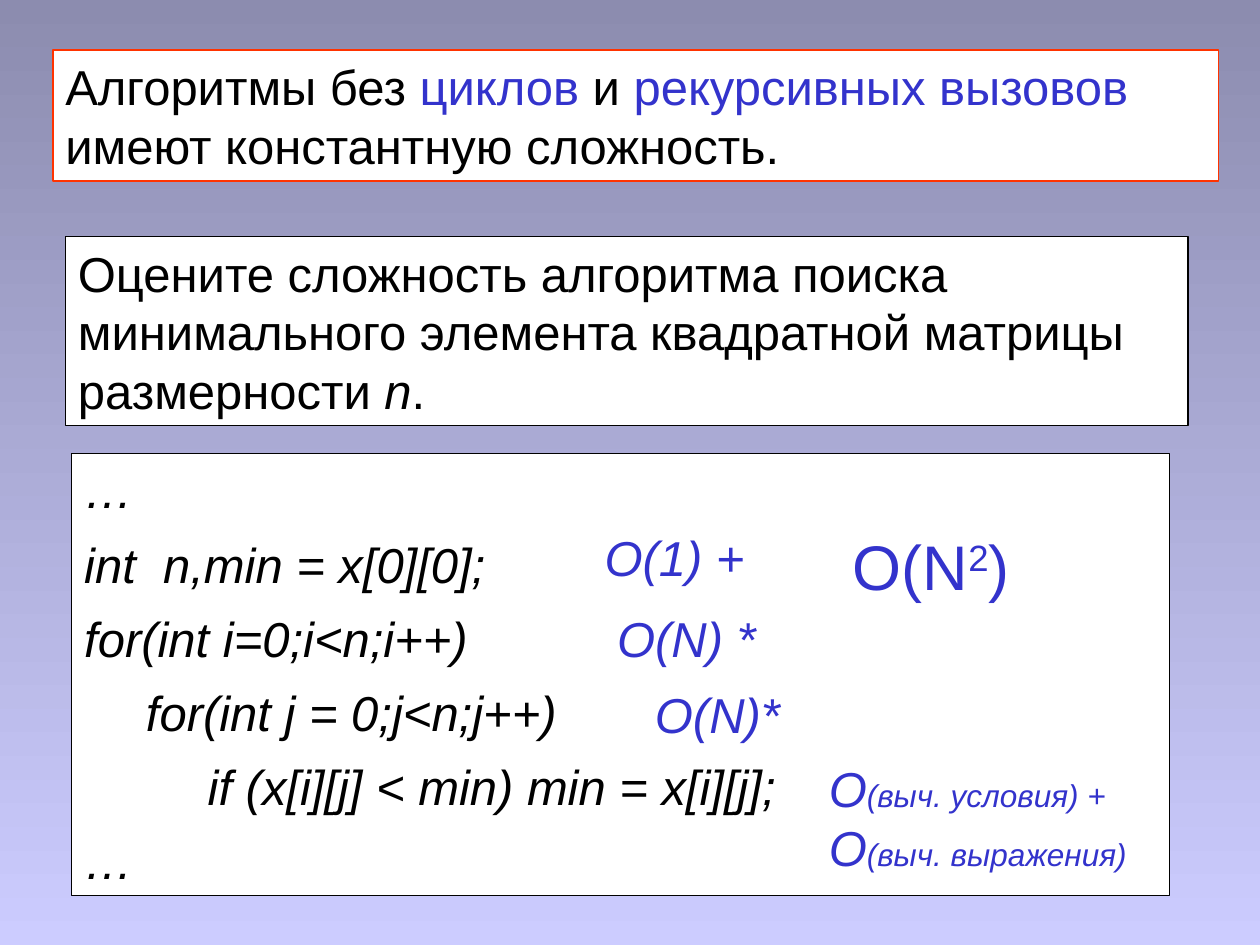
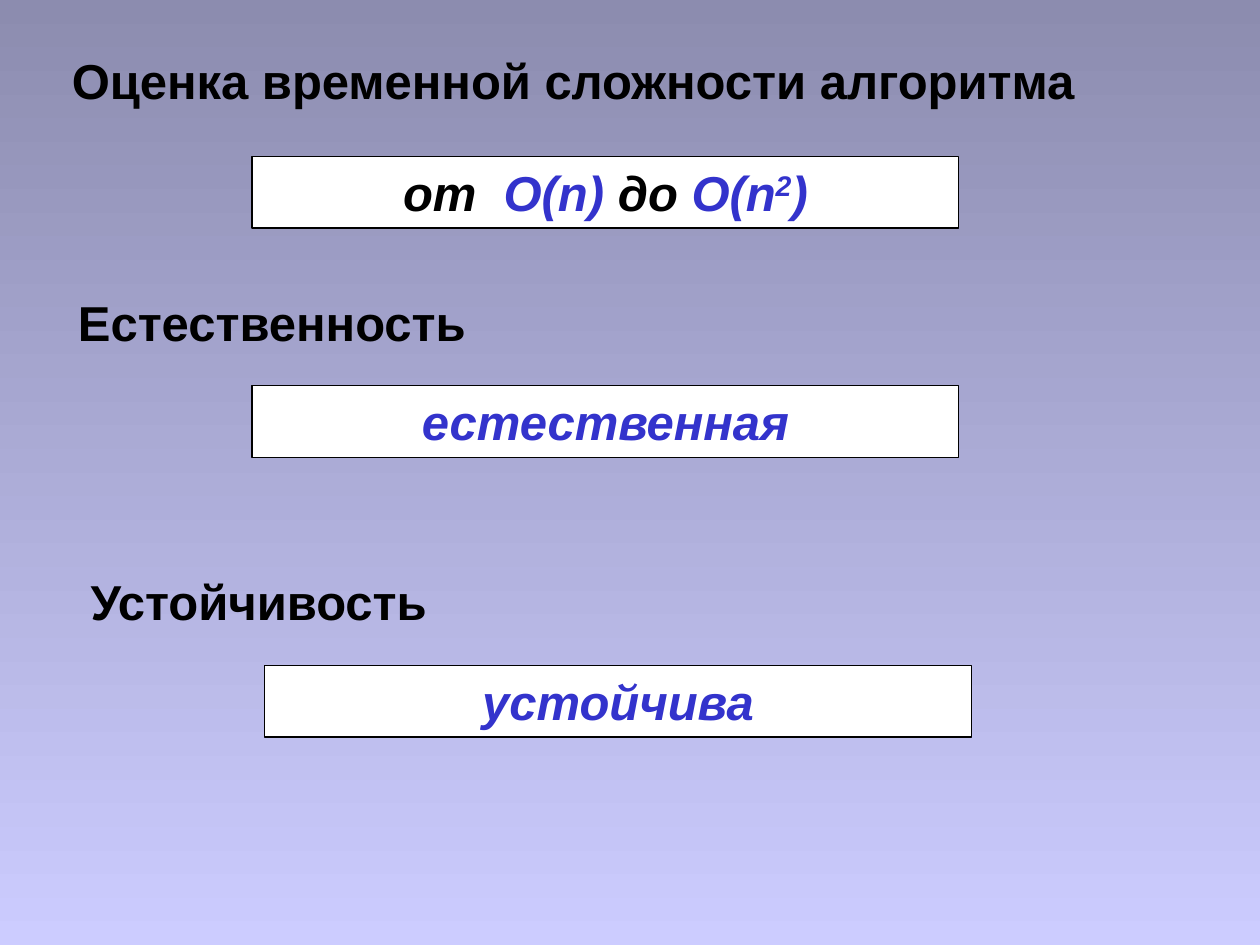
from pptx import Presentation
from pptx.dml.color import RGBColor
from pptx.enum.shapes import MSO_SHAPE
from pptx.enum.text import MSO_ANCHOR, MSO_AUTO_SIZE, PP_ALIGN
from pptx.util import Inches, Pt

COLORS = {
    "sky_top": "8C8CAF",
    "sky_bottom": "CCCCFF",
    "paper": "FFFFFF",
    "ink": "000000",
    "accent": "3333CC",
    "alert": "FF3300",
}
FONT = "Arial"
BODY_SIZE = 28
LINE_HEIGHT = 0.57
TAB_STEP = 0.49
CODE_SPACING = 8.8

ACCENT = {"color": "accent"}
INK = {"color": "ink"}
ITALIC = {"italic": True}
SMALL = {"size": 18}
SUPERSCRIPT = {"baseline": 30000}

CODE_LINES = [
    (0, "…"),
    (0, "int  n,min = x[0][0];"),
    (0, "for(int i=0;i<n;i++)"),
    (1, "for(int j = 0;j<n;j++)"),
    (2, "if (x[i][j] < min) min = x[i][j];"),
    (0, "…"),
]


def rgb(name):
    return RGBColor.from_string(COLORS[name])


def paint_background(master):
    fill = master.background.fill
    fill.gradient()
    fill.gradient_angle = 270
    for stop, name in zip(fill.gradient_stops, ("sky_top", "sky_bottom")):
        stop.color.rgb = rgb(name)


def format_run(run, size=BODY_SIZE, color="ink", bold=False, italic=False, baseline=None):
    run.font.name = FONT
    run.font.size = Pt(size)
    run.font.bold = bold
    run.font.italic = italic
    run.font.color.rgb = rgb(color)
    if baseline:
        run._r.get_or_add_rPr().set("baseline", str(baseline))


def write_paragraphs(shape, paragraphs, align=PP_ALIGN.LEFT, **style):
    frame = shape.text_frame
    frame.word_wrap = True
    frame.auto_size = MSO_AUTO_SIZE.NONE
    frame.vertical_anchor = MSO_ANCHOR.TOP
    for index, pieces in enumerate(paragraphs):
        paragraph = frame.add_paragraph() if index else frame.paragraphs[0]
        paragraph.alignment = align
        paragraph.space_before = Pt(0)
        for text, changes in pieces:
            run = paragraph.add_run()
            run.text = text
            format_run(run, **{**style, **changes})


def add_panel(slide, box, paragraphs, border="ink", border_width=0.75, **style):
    panel = slide.shapes.add_shape(MSO_SHAPE.RECTANGLE, *map(Inches, box))
    panel.shadow.inherit = False
    panel.fill.solid()
    panel.fill.fore_color.rgb = rgb("paper")
    panel.line.color.rgb = rgb(border)
    panel.line.width = Pt(border_width)
    write_paragraphs(panel, paragraphs, **style)
    return panel


def add_label(slide, box, paragraphs, **style):
    label = slide.shapes.add_textbox(*map(Inches, box))
    write_paragraphs(label, paragraphs, **style)


def add_code_panel(slide, box):
    left, top = box[:2]
    panel = add_panel(slide, box, [[(text, {})] for _, text in CODE_LINES], italic=True)
    for index, paragraph in enumerate(panel.text_frame.paragraphs):
        level = CODE_LINES[index][0]
        paragraph._p.get_or_add_pPr().set("marL", str(Inches(level * TAB_STEP)))
        if index:
            paragraph.space_before = Pt(CODE_SPACING)

    costs = [
        (4.13, 0.54, "O(1) +"),
        (4.23, 1.18, "O(N) *"),
        (4.53, 1.78, "O(N)*"),
    ]
    for x, y, text in costs:
        add_label(slide, (left + x, top + y, 1.5, LINE_HEIGHT), [[(text, {})]],
                  color="accent", italic=True)

    add_label(slide, (left + 5.91, top + 2.37, 2.66, 1.04), [
        [("O", {}), ("(выч. условия) +", SMALL)],
        [("О", {}), ("(выч. выражения)", SMALL)],
    ], color="accent", italic=True)
    add_label(slide, (left + 6.1, top + 0.54, 2.31, 0.7),
              [[("О(N", {}), ("2", SUPERSCRIPT), (")", {})]], size=36, color="accent")


def build_matrix_slide(presentation):
    slide = presentation.slides.add_slide(presentation.slide_layouts[6])
    add_panel(slide, (0.42, 0.4, 9.25, 1.04), [[
        ("Алгоритмы без ", {}),
        ("циклов", ACCENT),
        (" и ", {}),
        ("рекурсивных вызовов", ACCENT),
        (" имеют константную сложность.", {}),
    ]], border="alert", border_width=1)
    add_panel(slide, (0.52, 1.88, 8.91, 1.5), [[
        ("Оцените сложность алгоритма поиска минимального элемента "
         "квадратной матрицы размерности ", {}),
        ("n", ITALIC),
        (".", {}),
    ]])
    add_code_panel(slide, (0.57, 3.6, 8.71, 3.51))


def add_answer(slide, left, top, pieces):
    add_panel(slide, (left, top, 5.61, LINE_HEIGHT), [pieces],
              align=PP_ALIGN.CENTER, color="accent", bold=True, italic=True)


def build_properties_slide(presentation):
    slide = presentation.slides.add_slide(presentation.slide_layouts[5])
    title = slide.shapes.title
    title.left, title.top, title.width, title.height = map(
        Inches, (0.47, 0.35, 8.91, LINE_HEIGHT))
    write_paragraphs(title, [[("Оценка временной сложности алгоритма", {})]], bold=True)
    add_answer(slide, 2, 1.24, [
        ("от  ", INK), ("O(n) ", {}), ("до ", INK),
        ("О(n", {}), ("2", SUPERSCRIPT), (")", {}),
    ])

    properties = [
        (0.52, 2.27, "Естественность", 2, "естественная"),
        (0.62, 4.49, "Устойчивость", 2.1, "устойчива"),
    ]
    for left, top, heading, answer_left, answer in properties:
        add_label(slide, (left, top, 8.91, LINE_HEIGHT), [[(heading, {})]], bold=True)
        add_answer(slide, answer_left, top + 0.79, [(answer, {})])


def main():
    presentation = Presentation()
    presentation.slide_width = Inches(10)
    presentation.slide_height = Inches(7.5)
    paint_background(presentation.slide_master)
    build_matrix_slide(presentation)
    build_properties_slide(presentation)
    presentation.save("out.pptx")


if __name__ == "__main__":
    main()
